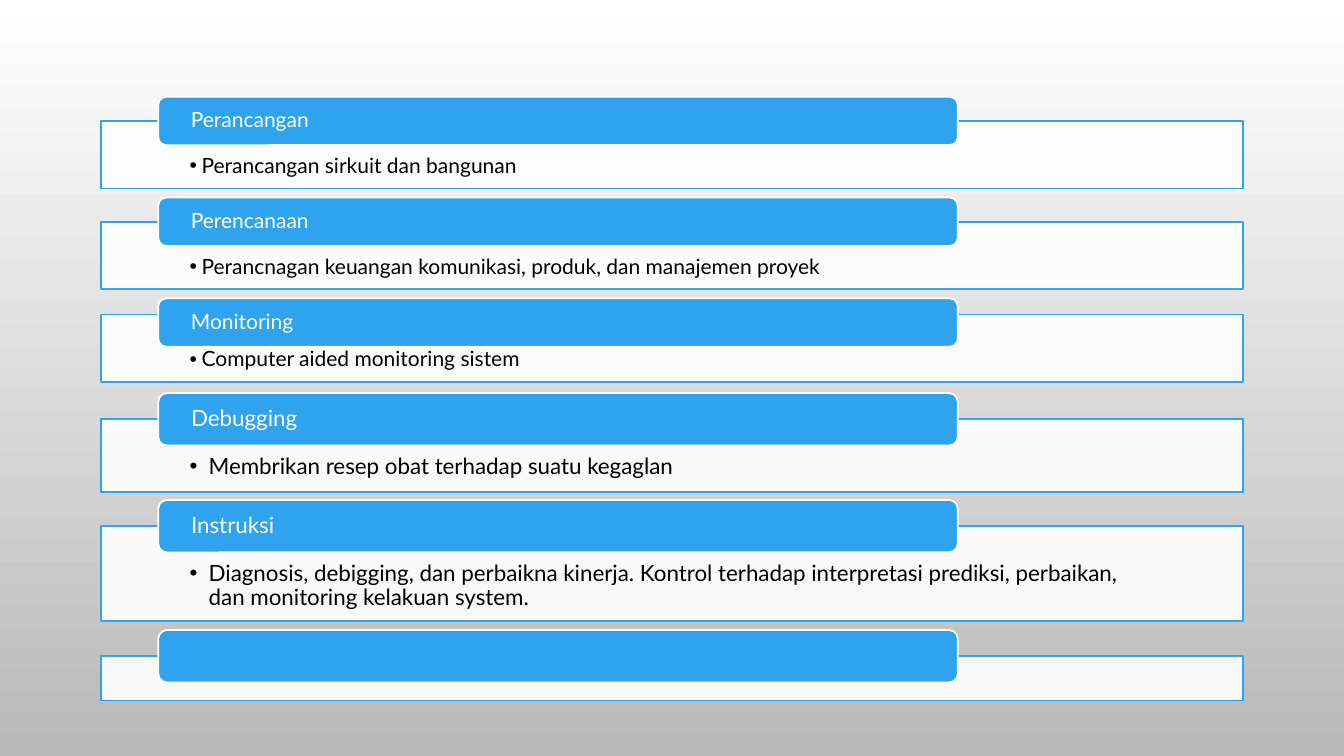
"""Build a slide of six headed boxes on a grey gradient."""
from dataclasses import dataclass

import lxml.etree
import pptx
import pptx.dml.color
import pptx.enum.shapes
import pptx.enum.text
import pptx.oxml.ns
import pptx.util

SCALE = 9144
LEFT, WIDTH = 100, 1133
TAB_LEFT, TAB_WIDTH = 157, 793


@dataclass(frozen=True)
class Theme:
    font: str = "Lato"
    blue: str = "2FA3EE"
    white: str = "FFFFFF"
    black: str = "000000"
    grey: str = "B9B9B9"
    small: int = 15
    large: int = 16
    line: float = 1.25
    alpha: int = 90


@dataclass(frozen=True)
class Style:
    size: int
    tab: int
    inset: int
    indent: int


@dataclass(frozen=True)
class Topic:
    head: str
    body: str
    tab_top: int
    top: int
    height: int
    style: Style


THEME = Theme()
SMALL = Style(THEME.small, 48, 34, 12)
LARGE = Style(THEME.large, 52, 36, 19)
TOPICS = [
    Topic("Perancangan", "Perancangan sirkuit dan bangunan", 96, 120, 67, SMALL),
    Topic("Perencanaan", "Perancnagan keuangan komunikasi, produk, dan manajemen proyek",
          196, 220, 67, SMALL),
    Topic("Monitoring", "Computer aided monitoring sistem", 296, 312, 67, SMALL),
    Topic("Debugging", "Membrikan resep obat terhadap suatu kegaglan", 390, 416, 72, LARGE),
    Topic("Instruksi", "Diagnosis, debigging, dan perbaikna kinerja. Kontrol terhadap "
          "interpretasi prediksi, perbaikan, dan monitoring kelakuan system.",
          496, 522, 94, LARGE),
    Topic("", "", 625, 651, 44, LARGE),
]


def px(count: int) -> int:
    return count * SCALE


def rgb(code: str) -> pptx.dml.color.RGBColor:
    return pptx.dml.color.RGBColor.from_string(code)


def add_sub(parent, tag: str, **attrs: str):
    return lxml.etree.SubElement(parent, pptx.oxml.ns.qn(tag), attrs)


def add_box(group, kind, left: int, top: int, width: int, height: int,
            fill: str, line: str, alpha: int = 100):
    box = group.shapes.add_shape(kind, px(left), px(top), px(width), px(height))
    box.shadow.inherit = False
    box.fill.solid()
    box.fill.fore_color.rgb = rgb(fill)
    box.line.color.rgb = rgb(line)
    box.line.width = pptx.util.Pt(THEME.line)
    if alpha < 100:
        tint = box.fill._xPr.find(".//" + pptx.oxml.ns.qn("a:srgbClr"))
        add_sub(tint, "a:alpha", val=str(alpha * 1000))
    return box


def set_text(box, text: str, *, size: int, color: str, anchor,
             side: int, top: int = 0, bottom: int = 0, indent: int = 0) -> None:
    frame = box.text_frame
    frame.word_wrap = True
    frame.vertical_anchor = anchor
    frame.margin_left = frame.margin_right = px(side)
    frame.margin_top, frame.margin_bottom = px(top), px(bottom)
    para = frame.paragraphs[0]
    para.alignment = pptx.enum.text.PP_ALIGN.LEFT
    para.line_spacing = 0.9
    run = para.add_run()
    run.text = text
    run.font.name = THEME.font
    run.font.size = pptx.util.Pt(size)
    run.font.color.rgb = rgb(color)
    if indent:
        para.level = 1
        props = para._p.get_or_add_pPr()
        props.set("marL", str(px(indent)))
        props.set("indent", str(-px(indent)))
        add_sub(props, "a:buFont", typeface="Arial")
        add_sub(props, "a:buChar", char="•")


def add_topic(group, topic: Topic) -> None:
    shapes = pptx.enum.shapes.MSO_SHAPE
    anchors = pptx.enum.text.MSO_ANCHOR
    style = topic.style
    body = add_box(group, shapes.RECTANGLE, LEFT, topic.top, WIDTH, topic.height,
                   THEME.white, THEME.blue, THEME.alpha)
    head = add_box(group, shapes.ROUNDED_RECTANGLE, TAB_LEFT, topic.tab_top,
                   TAB_WIDTH, style.tab, THEME.blue, THEME.white)
    if topic.body:
        set_text(body, topic.body, size=style.size, color=THEME.black,
                 anchor=anchors.TOP, side=88, top=style.inset, bottom=12,
                 indent=style.indent)
    if topic.head:
        set_text(head, topic.head, size=style.size, color=THEME.white,
                 anchor=anchors.MIDDLE, side=30)


def set_back(slide) -> None:
    fill = slide.background.fill
    fill.gradient()
    fill.gradient_angle = 270
    for stop, place, code in zip(fill.gradient_stops, (0, 1), (THEME.white, THEME.grey)):
        stop.position = place
        stop.color.rgb = rgb(code)


def main() -> None:
    deck = pptx.Presentation()
    deck.slide_width, deck.slide_height = px(1333), px(750)
    slide = deck.slides.add_slide(deck.slide_layouts[6])
    set_back(slide)
    for style in (SMALL, LARGE):
        group = slide.shapes.add_group_shape()
        for topic in TOPICS:
            if topic.style == style:
                add_topic(group, topic)
    deck.save("out.pptx")


if __name__ == "__main__":
    main()
